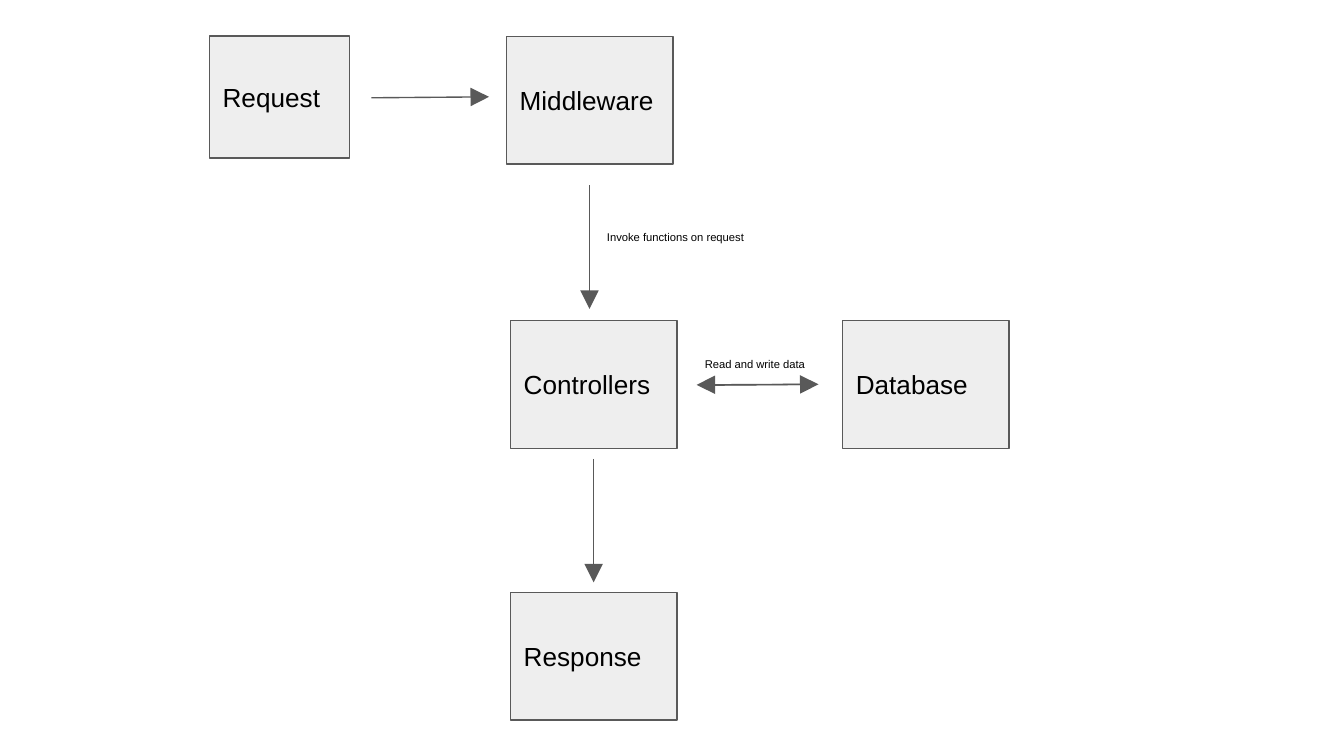
import pptx
import pptx.dml.color
import pptx.enum.shapes
import pptx.enum.text
import pptx.oxml
import pptx.oxml.ns
import pptx.util

Pt = pptx.util.Pt
BLACK = pptx.dml.color.RGBColor(0x00, 0x00, 0x00)
GREY = pptx.dml.color.RGBColor(0x59, 0x59, 0x59)
LIGHT = pptx.dml.color.RGBColor(0xEE, 0xEE, 0xEE)
NS = pptx.oxml.ns.nsdecls("a")

prs = pptx.Presentation()
prs.slide_width, prs.slide_height = Pt(720), Pt(405)
s = prs.slides.add_slide(prs.slide_layouts[6])


def write(sp, text, size, anchor):
    tf = sp.text_frame
    tf.word_wrap = True
    tf.vertical_anchor = anchor
    tf.margin_left = tf.margin_right = tf.margin_top = tf.margin_bottom = Pt(7.2)
    p = tf.paragraphs[0]
    p.alignment = pptx.enum.text.PP_ALIGN.LEFT
    r = p.add_run()
    r.text = text
    r.font.name = "Arial"
    r.font.size = Pt(size)
    r.font.color.rgb = BLACK


# Boxes: text, left, top, width, height
W, H = 89.3, 68.4
for text, x, y, w, h in [
    ("Request", 112.2, 19.2, 75, 65.5),
    ("Middleware", 271.3, 19.6, W, H),
    ("Controllers", 273.5, 171.8, W, H),
    ("Database", 451.4, 171.8, W, H),
    ("Response", 273.5, 317.4, W, H),
]:
    sp = s.shapes.add_shape(pptx.enum.shapes.MSO_SHAPE.RECTANGLE,
                            Pt(x), Pt(y), Pt(w), Pt(h))
    sp.shadow.inherit = False
    sp.fill.solid()
    sp.fill.fore_color.rgb = LIGHT
    sp.line.color.rgb = GREY
    sp.line.width = Pt(0.75)
    write(sp, text, 14, pptx.enum.text.MSO_ANCHOR.MIDDLE)

# Arrows, standing clear of the boxes: start x, y, end x, y
for x1, y1, x2, y2 in [
    (199, 52.4, 262, 51.9),         # request to middleware
    (315.8, 99.2, 315.8, 165.5),    # middleware to controllers
    (375.5, 206.4, 438.5, 205.9),   # controllers to database
    (435, 205.9, 373.2, 206.2),     # database to controllers
    (318, 245.8, 318, 312),         # controllers to response
]:
    c = s.shapes.add_connector(pptx.enum.shapes.MSO_CONNECTOR.STRAIGHT,
                               Pt(x1), Pt(y1), Pt(x2), Pt(y2))
    c.line.color.rgb = GREY
    c.line.width = Pt(0.75)
    c.line._get_or_add_ln().append(pptx.oxml.parse_xml(
        f'<a:tailEnd {NS} type="triangle" w="lg" len="lg"/>'))
    c._element.spPr.append(pptx.oxml.parse_xml(f"<a:effectLst {NS}/>"))

# Arrow labels
for text, x, y in [
    ("Read and write data", 370.5, 188),
    ("Invoke functions on request", 318.1, 120),
]:
    sp = s.shapes.add_textbox(Pt(x), Pt(y), Pt(309.6), Pt(36))
    write(sp, text, 6, pptx.enum.text.MSO_ANCHOR.TOP)

prs.save("out.pptx")
